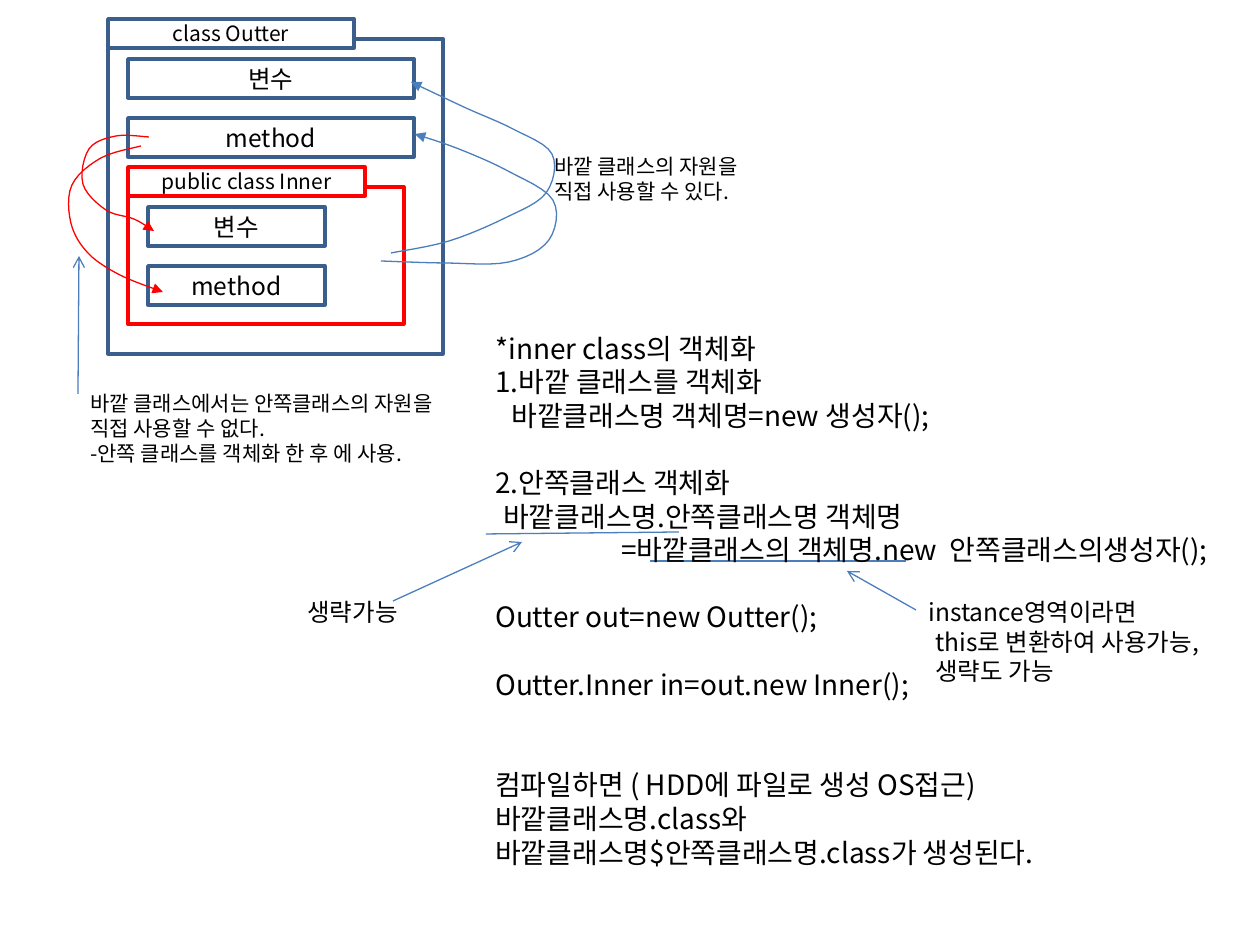
from lxml import etree
from pptx import Presentation
from pptx.dml.color import RGBColor
from pptx.enum.shapes import MSO_CONNECTOR, MSO_SHAPE
from pptx.enum.text import MSO_ANCHOR, MSO_AUTO_SIZE, PP_ALIGN
from pptx.oxml.ns import qn
from pptx.util import Emu, Pt

PX_PER_INCH = 126
FONT = "Noto Sans CJK KR"
BLACK = RGBColor(0x00, 0x00, 0x00)
WHITE = RGBColor(0xFF, 0xFF, 0xFF)
NAVY = RGBColor(0x3A, 0x5F, 0x8C)
BLUE = RGBColor(0x4B, 0x7E, 0xBC)
RED = RGBColor(0xFF, 0x00, 0x00)

RECTANGLE = MSO_SHAPE.RECTANGLE
STRAIGHT = MSO_CONNECTOR.STRAIGHT
MIDDLE = MSO_ANCHOR.MIDDLE
CENTER = PP_ALIGN.CENTER
FIT_SHAPE = MSO_AUTO_SIZE.SHAPE_TO_FIT_TEXT
BLANK_LAYOUT = 6

# Class diagram: everything is nested by one grid step
GRID = 20
TAB_HEIGHT = 29
MEMBER_HEIGHT = 39
MEMBER_PITCH = 59
MEMBERS = ("변수", "method")

LINE_SPACING = 1.2  # line height as a multiple of the text size
TEXT_INSETS = 13  # upper and lower inset of a note together
CURVE_STEPS = 6  # straight pieces between two waypoints

# Waypoints from the class that uses a member to that member
ACCESS_ARROWS = [
    (BLUE, [(381, 261), (445, 263), (509, 262), (549, 240),
            (553, 200), (508, 171), (459, 149), (415, 134)]),
    (BLUE, [(391, 253), (449, 241), (505, 218), (546, 193),
            (552, 154), (513, 129), (466, 108), (411, 82)]),
    (RED, [(149, 137), (116, 136), (89, 149), (83, 184),
           (106, 210), (134, 219), (154, 231)]),
    (RED, [(141, 146), (101, 158), (72, 185), (71, 223),
           (88, 253), (120, 275), (163, 292)]),
]
UNDERLINES = [((486, 534), (679, 532)), ((650, 561), (906, 561))]
NOTE_POINTERS = [
    ((78, 394), (79, 256)),
    ((393, 601), (522, 542)),
    ((916, 610), (847, 571)),
]

# A line is (text, indent in px, empty lines before it)
OUTER_ACCESS_NOTE = [
    ("바깥 클래스의 자원을", 0, 0),
    ("직접 사용할 수 있다.", 0, 0),
]
INNER_ACCESS_NOTE = [
    ("바깥 클래스에서는 안쪽클래스의 자원을", 0, 0),
    ("직접 사용할 수 없다.", 0, 0),
    ("-안쪽 클래스를 객체화 한 후 에 사용.", 0, 0),
]
INSTANTIATION_STEPS = [
    ("*inner class의 객체화", 0, 0),
    ("1.바깥 클래스를 객체화", 0, 0),
    ("바깥클래스명 객체명=new 생성자();", 16, 0),
    ("2.안쪽클래스 객체화", 0, 1),
    ("바깥클래스명.안쪽클래스명 객체명", 8, 0),
    ("=바깥클래스의 객체명.new  안쪽클래스의생성자();", 126, 0),
    ("Outter out=new Outter();", 0, 1),
    ("Outter.Inner in=out.new Inner();", 0, 1),
    ("컴파일하면 ( HDD에 파일로 생성 OS접근)", 0, 2),
    ("바깥클래스명.class와", 0, 0),
    ("바깥클래스명$안쪽클래스명.class가 생성된다.", 0, 0),
]
OMISSION_NOTE = [("생략가능", 0, 0)]
THIS_NOTE = [
    ("instance영역이라면", 0, 0),
    ("this로 변환하여 사용가능,", 7, 0),
    ("생략도 가능", 7, 0),
]


def px(length):
    return Emu(round(length * 914400 / PX_PER_INCH))


def apply_format(target, values):
    for attribute, value in values.items():
        setattr(target, attribute, value)


def write_run(paragraph, text, size):
    run = paragraph.add_run()
    run.text = text
    apply_format(run.font, {"name": FONT, "size": Pt(size)})
    run.font.color.rgb = BLACK
    east_asian = etree.SubElement(run.font._element, qn("a:ea"))
    east_asian.set("typeface", FONT)


def style_line(line, color, width, head=None):
    line.color.rgb = color
    line.width = Pt(width)
    if head:
        tail_end = etree.SubElement(line._get_or_add_ln(), qn("a:tailEnd"))
        tail_end.set("type", head)


def add_box(slide, bounds, outline, label="", size=14, fill=None):
    box = slide.shapes.add_shape(RECTANGLE, *map(px, bounds))
    box.shadow.inherit = False
    if fill is None:
        box.fill.background()
    else:
        box.fill.solid()
        box.fill.fore_color.rgb = fill
    style_line(box.line, outline, 2)
    if label:
        box.text_frame.vertical_anchor = MIDDLE
        paragraph = box.text_frame.paragraphs[0]
        paragraph.alignment = CENTER
        write_run(paragraph, label, size)


def add_class(slide, title, body, tab_width, member_width, outline):
    """Draw a class: its body, its members inside, and its title tab on top."""
    left, top, _, _ = body
    add_box(slide, body, outline)
    for row, member in enumerate(MEMBERS):
        member_top = top + GRID + row * MEMBER_PITCH
        bounds = (left + GRID, member_top, member_width, MEMBER_HEIGHT)
        add_box(slide, bounds, NAVY, member)
    tab = (left, top - GRID, tab_width, TAB_HEIGHT)
    add_box(slide, tab, outline, title, size=12, fill=WHITE)


def spline(before, start, end, after, t):
    """Catmull-Rom value between start (t = 0) and end (t = 1)."""
    slope = end - before
    bend = 2 * before - 5 * start + 4 * end - after
    twist = 3 * (start - end) + after - before
    return start + (slope * t + bend * t ** 2 + twist * t ** 3) / 2


def smooth_curve(waypoints):
    padded = [waypoints[0], *waypoints, waypoints[-1]]
    curve = [waypoints[0]]
    for neighbours in zip(padded, padded[1:], padded[2:], padded[3:]):
        xs, ys = zip(*neighbours)
        for step in range(1, CURVE_STEPS + 1):
            t = step / CURVE_STEPS
            curve.append((spline(*xs, t), spline(*ys, t)))
    return curve


def add_access_arrow(slide, color, waypoints):
    start, *rest = [(px(x), px(y)) for x, y in smooth_curve(waypoints)]
    builder = slide.shapes.build_freeform(*start)
    builder.add_line_segments(rest, close=False)
    arrow = builder.convert_to_shape()
    arrow.shadow.inherit = False
    arrow.fill.background()
    style_line(arrow.line, color, 0.75, "triangle")


def add_straight_line(slide, start, end, head=None):
    connector = slide.shapes.add_connector(STRAIGHT, *map(px, start + end))
    style_line(connector.line, BLUE, 0.75, head)
    etree.SubElement(connector._element.spPr, qn("a:effectLst"))


def add_note(slide, left, top, width, size, lines):
    line_height = size * LINE_SPACING
    line_count = sum(1 + empty_lines for _, _, empty_lines in lines)
    height = line_count * line_height * PX_PER_INCH / 72 + TEXT_INSETS
    bounds = (left, top, width, height)
    frame = slide.shapes.add_textbox(*map(px, bounds)).text_frame
    apply_format(frame, {"word_wrap": False, "auto_size": FIT_SHAPE})
    for index, (text, indent, empty_lines) in enumerate(lines):
        paragraph = frame.add_paragraph() if index else frame.paragraphs[0]
        if indent:
            paragraph._p.get_or_add_pPr().set("marL", str(px(indent)))
        if empty_lines:
            paragraph.space_before = Pt(empty_lines * line_height)
        write_run(paragraph, text, size)


def main():
    deck = Presentation()
    deck.slide_width, deck.slide_height = px(1260), px(945)
    slide = deck.slides.add_slide(deck.slide_layouts[BLANK_LAYOUT])
    add_class(slide, "class Outter", (108, 39, 335, 315), 246, 286, NAVY)
    add_class(slide, "public class Inner", (128, 187, 276, 137), 237, 177, RED)
    for color, waypoints in ACCESS_ARROWS:
        add_access_arrow(slide, color, waypoints)
    for start, end in UNDERLINES:
        add_straight_line(slide, start, end)
    for start, end in NOTE_POINTERS:
        add_straight_line(slide, start, end, "arrow")
    add_note(slide, 542, 147, 232, 12, OUTER_ACCESS_NOTE)
    add_note(slide, 78, 384, 408, 12, INNER_ACCESS_NOTE)
    add_note(slide, 483, 325, 794, 16, INSTANTIATION_STEPS)
    add_note(slide, 295, 591, 125, 14, OMISSION_NOTE)
    add_note(slide, 916, 591, 320, 14, THIS_NOTE)
    deck.save("out.pptx")


if __name__ == "__main__":
    main()
